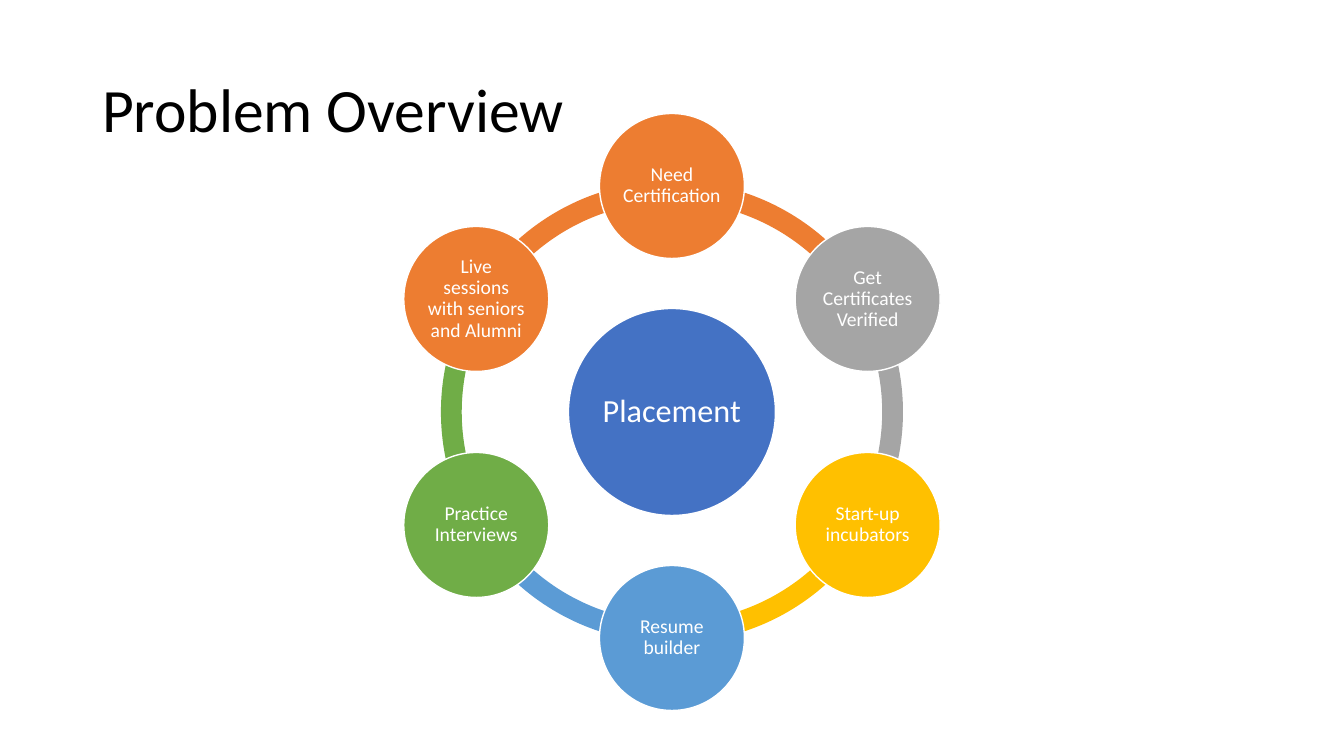
from math import cos, radians, sin

from pptx import Presentation
from pptx.dml.color import RGBColor
from pptx.enum.shapes import MSO_SHAPE
from pptx.enum.text import MSO_ANCHOR, MSO_AUTO_SIZE, PP_ALIGN
from pptx.util import Pt

ELLIPSE = MSO_SHAPE.OVAL
BLOCK_ARC = MSO_SHAPE.BLOCK_ARC
MIDDLE = MSO_ANCHOR.MIDDLE
NO_AUTOFIT = MSO_AUTO_SIZE.NONE
LEFT = PP_ALIGN.LEFT
CENTER = PP_ALIGN.CENTER

BLACK = RGBColor(0x00, 0x00, 0x00)
WHITE = RGBColor(0xFF, 0xFF, 0xFF)
BLUE = RGBColor(0x44, 0x72, 0xC4)
ORANGE = RGBColor(0xED, 0x7D, 0x31)
GRAY = RGBColor(0xA5, 0xA5, 0xA5)
YELLOW = RGBColor(0xFF, 0xC0, 0x00)
LIGHT_BLUE = RGBColor(0x5B, 0x9B, 0xD5)
GREEN = RGBColor(0x70, 0xAD, 0x47)

EMU_PER_PX = 914400 / 100.8
SLIDE_SIZE = (1344, 756)
TITLE_BOX = (92, 40, 1159, 146)
HUB_X, HUB_Y = 672, 412
HUB_DIAMETER = 207
NODE_DIAMETER = 145
ORBIT_RADIUS = 226
RING_DIAMETER = 462
RING_THICKNESS = 0.045
TOP_ANGLE = 270

NODES = [
    ("Need Certification", ORANGE),
    ("Get Certificates Verified", GRAY),
    ("Start-up incubators", YELLOW),
    ("Resume builder", LIGHT_BLUE),
    ("Practice Interviews", GREEN),
    ("Live sessions with seniors and Alumni", ORANGE),
]


def px(length):
    return round(length * EMU_PER_PX)


def set_values(target, values):
    for name, value in values.items():
        setattr(target, name, value)


class SlideBuilder:
    font_name = "Calibri"
    line_spacing = 0.9

    def __init__(self, slide):
        self.slide = slide

    def set_text(self, shape, text, size, color, alignment, inset=None):
        frame = shape.text_frame
        frame.text = text
        set_values(frame, {"word_wrap": True, "auto_size": NO_AUTOFIT,
                           "vertical_anchor": MIDDLE})
        if inset is not None:
            sides = ("margin_left", "margin_top", "margin_right", "margin_bottom")
            set_values(frame, dict.fromkeys(sides, px(inset)))
        paragraph = frame.paragraphs[0]
        set_values(paragraph, {"alignment": alignment,
                               "line_spacing": self.line_spacing})
        font = paragraph.runs[0].font
        set_values(font, {"name": self.font_name, "size": Pt(size)})
        font.color.rgb = color

    def title(self, text, box):
        title = self.slide.shapes.title
        sides = ("left", "top", "width", "height")
        set_values(title, dict(zip(sides, map(px, box))))
        self.set_text(title, text, 44, BLACK, LEFT)

    def round_shape(self, kind, x, y, diameter, color):
        corner = px(x - diameter / 2), px(y - diameter / 2)
        shape = self.slide.shapes.add_shape(
            kind, *corner, px(diameter), px(diameter))
        shape.shadow.inherit = False
        shape.fill.solid()
        shape.fill.fore_color.rgb = color
        return shape

    def arc(self, start, end, color):
        shape = self.round_shape(BLOCK_ARC, HUB_X, HUB_Y, RING_DIAMETER, color)
        shape.line.fill.background()
        shape.adjustments[0] = start % 360 * 0.6
        shape.adjustments[1] = end % 360 * 0.6
        shape.adjustments[2] = RING_THICKNESS

    def circle(self, text, x, y, diameter, color, size, inset):
        shape = self.round_shape(ELLIPSE, x, y, diameter, color)
        shape.line.color.rgb = WHITE
        shape.line.width = Pt(1)
        self.set_text(shape, text, size, WHITE, CENTER, inset)


def main():
    presentation = Presentation()
    width, height = SLIDE_SIZE
    set_values(presentation, {"slide_width": px(width), "slide_height": px(height)})
    slide = presentation.slides.add_slide(presentation.slide_layouts[5])
    builder = SlideBuilder(slide)
    builder.title("Problem Overview", TITLE_BOX)

    step = 360 // len(NODES)
    angles = [TOP_ANGLE + step * index for index in range(len(NODES))]
    for angle, (_, color) in zip(angles, NODES):
        builder.arc(angle, angle + step, color)
    builder.circle("Placement", HUB_X, HUB_Y, HUB_DIAMETER, BLUE, 23, 3)
    for angle, (text, color) in zip(angles, NODES):
        x = HUB_X + ORBIT_RADIUS * cos(radians(angle))
        y = HUB_Y + ORBIT_RADIUS * sin(radians(angle))
        builder.circle(text, x, y, NODE_DIAMETER, color, 14, 2)

    presentation.save("out.pptx")


if __name__ == "__main__":
    main()
